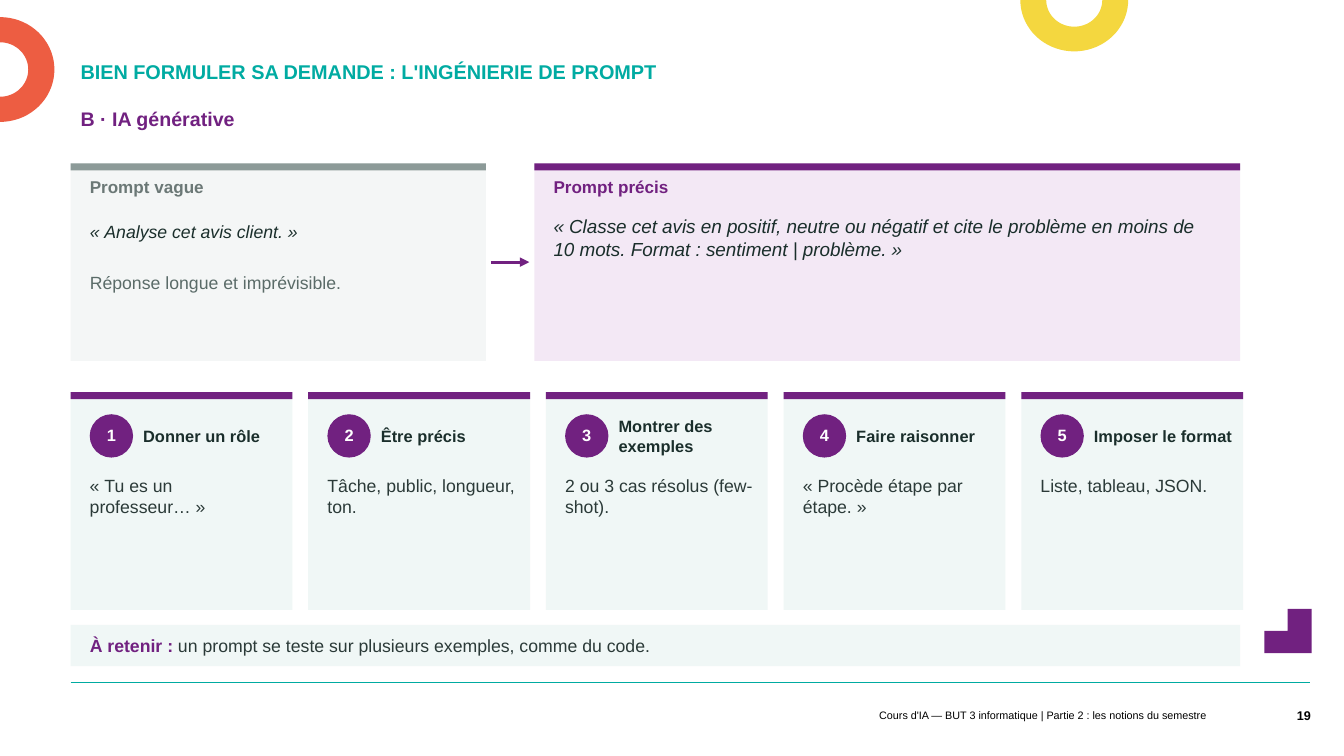
import math

import pptx
import pptx.dml.color
import pptx.enum.shapes
import pptx.enum.text
import pptx.oxml
import pptx.oxml.ns
import pptx.util

Inches = pptx.util.Inches
Pt = pptx.util.Pt
KIND = pptx.enum.shapes.MSO_SHAPE
ALIGN = pptx.enum.text.PP_ALIGN
ANCHOR = pptx.enum.text.MSO_ANCHOR

HUES = {
    "violet": "712180", "teal": "00ABA2", "rule": "00ABA1",
    "red": "ED5D42", "yellow": "F4D73F", "white": "FFFFFF", "black": "000000",
    "mint": "F0F7F6", "lilac": "F3E8F5", "mist": "F4F6F6", "grey": "8C9A98",
    "slate": "6B7876", "ash": "5A6B68", "ink": "1A2E2B", "body": "2B3A38",
}

PAD = 0.19  # inner margin of every panel

STEPS = [
    ("Donner un rôle", "« Tu es un professeur… »"),
    ("Être précis", "Tâche, public, longueur, ton."),
    ("Montrer des exemples", "2 ou 3 cas résolus (few-shot)."),
    ("Faire raisonner", "« Procède étape par étape. »"),
    ("Imposer le format", "Liste, tableau, JSON."),
]


def tint(name):
    return pptx.dml.color.RGBColor.from_string(HUES[name])


def bind(text):
    """Tie French quote marks and colons to their words."""
    hard = chr(160)
    for old, new in (("« ", "«" + hard), (" »", hard + "»"),
                     ("Format :", "Format" + hard + ":"),
                     ("retenir :", "retenir" + hard + ":")):
        text = text.replace(old, new)
    return text


def paint(shape, hue):
    shape.shadow.inherit = False
    shape.fill.solid()
    shape.fill.fore_color.rgb = tint(hue)
    shape.line.fill.background()


def block(slide, box, hue, kind=KIND.RECTANGLE):
    paint(slide.shapes.add_shape(kind, *map(Inches, box)), hue)


def outline(slide, points, hue):
    spots = [(Inches(x), Inches(y)) for x, y in points]
    build = slide.shapes.build_freeform(*spots[0])
    build.add_line_segments(spots[1:], close=True)
    paint(build.convert_to_shape(), hue)


def write(slide, box, runs, anchor=ANCHOR.TOP, inset=(0, 0, 0, 0), **para):
    """Each run is (text, size, hue, extra font values)."""
    frame = slide.shapes.add_textbox(*map(Inches, box)).text_frame
    sides = ("left", "top", "right", "bottom")
    form = {"margin_" + side: Inches(gap) for side, gap in zip(sides, inset)}
    form.update(word_wrap=True, vertical_anchor=anchor)
    for key, value in form.items():
        setattr(frame, key, value)
    line = frame.paragraphs[0]
    for key, value in para.items():
        setattr(line, key, value)
    for text, size, hue, extra in runs:
        run = line.add_run()
        run.text = bind(text)
        for key, value in {"name": "Arial", "size": Pt(size), **extra}.items():
            setattr(run.font, key, value)
        run.font.color.rgb = tint(hue)


def stroke(slide, start, end, hue, width, arrow=False):
    link = slide.shapes.add_connector(
        pptx.enum.shapes.MSO_CONNECTOR.STRAIGHT, *map(Inches, start + end))
    link.line.color.rgb = tint(hue)
    link.line.width = Pt(width)
    if arrow:
        head = pptx.oxml.parse_xml(
            "<a:tailEnd %s type='triangle'/>" % pptx.oxml.ns.nsdecls("a"))
        link.line._get_or_add_ln().append(head)
    link._element.spPr.append(pptx.oxml.parse_xml(
        "<a:effectLst %s/>" % pptx.oxml.ns.nsdecls("a")))


def panel(slide, box, fill, bar):
    left, top, width, _ = box
    block(slide, box, fill)
    block(slide, (left, top, width, 0.07), bar)


def ring(slide, box, first, hue):
    """Half ring around the centre of box, from the angle first."""
    left, top, width, height = box
    turns = [math.radians(first + 5 * i) for i in range(37)]

    def arc(ratio, angles):
        return [(left + width / 2 * (1 + ratio * math.cos(a)),
                 top + height / 2 * (1 + ratio * math.sin(a))) for a in angles]

    outline(slide, arc(1, turns) + arc(0.52, turns[::-1]), hue)


def decor(slide):
    ring(slide, (10.12, -0.51, 1.07, 1.02), 0, "yellow")
    ring(slide, (-0.54, 0.17, 1.08, 1.04), -90, "red")
    left, top, right, low = 12.54, 6.04, 13.01, 6.48
    mid, step = 12.77, 6.26
    outline(slide, [(mid, top), (right, top), (right, low), (left, low),
                    (left, step), (mid, step)], "violet")


def header(slide, box):
    left, top, width, _ = box
    inset = (0.1, 0.05, 0.1, 0.05)
    write(slide, (left, top, width, 0.34),
          [("BIEN FORMULER SA DEMANDE : L'INGÉNIERIE DE PROMPT", 14.2, "teal",
            {"bold": True})],
          ANCHOR.BOTTOM, inset, line_spacing=Pt(16.7))
    write(slide, (left, top + 0.5, width, 0.46),
          [("B · IA générative", 14, "violet", {"bold": True})],
          inset=inset, line_spacing=0.9)


def prompt(slide, box, fill, bar, label, parts):
    left, top, width, _ = box
    panel(slide, box, fill, bar)
    rows = [(0.13, 0.36, label)] + parts
    for drop, tall, run in rows:
        write(slide, (left + PAD, top + drop, width - 0.4, tall), [run])


def versus(slide, box):
    left, top, width, height = box
    prompt(slide, (left, top, 4.12, height), "mist", "grey",
           ("Prompt vague", 12.2, "slate", {"bold": True}),
           [(0.57, 0.52, ("« Analyse cet avis client. »", 12.6, "ink",
                          {"italic": True})),
            (1.08, 0.82, ("Réponse longue et imprévisible.", 12.6, "ash", {}))])
    middle = top + height / 2
    stroke(slide, (left + 4.17, middle), (left + 4.55, middle), "violet", 2.25, True)
    prompt(slide, (left + 4.6, top, width - 4.6, height), "lilac", "violet",
           ("Prompt précis", 12.2, "violet", {"bold": True}),
           [(0.51, 1.34, ("« Classe cet avis en positif, neutre ou négatif et cite "
                          "le problème en moins de 10 mots. Format : sentiment | "
                          "problème. »", 13.5, "ink", {"italic": True}))])


def card(slide, box, rank, title, text):
    left, top, width, _ = box
    panel(slide, box, "mint", "violet")
    side = left + PAD
    block(slide, (side, top + 0.22, 0.43, 0.43), "violet", KIND.OVAL)
    write(slide, (side, top + 0.2, 0.43, 0.46),
          [(str(rank), 11.7, "white", {"bold": True})],
          ANCHOR.MIDDLE, alignment=ALIGN.CENTER)
    write(slide, (left + 0.72, top + 0.15, width - 0.76, 0.57),
          [(title, 11.7, "ink", {"bold": True})], ANCHOR.MIDDLE)
    write(slide, (side, top + 0.82, 1.87, 1.29), [(text, 12.6, "body", {})])


def cards(slide, box):
    left, top, width, height = box
    wide = 2.2
    pitch = (width - wide) / (len(STEPS) - 1)
    for i, (title, text) in enumerate(STEPS):
        card(slide, (left + i * pitch, top, wide, height), i + 1, title, text)


def lesson(slide, box):
    left, top, width, height = box
    block(slide, box, "mint")
    write(slide, (left + PAD, top, width - 0.29, height),
          [("À retenir : ", 12.6, "violet", {"bold": True}),
           ("un prompt se teste sur plusieurs exemples, comme du code.",
            12.6, "body", {"bold": False})], ANCHOR.MIDDLE)


def footer(slide, box):
    left, top, width, _ = box
    stroke(slide, (left, top), (left + width, top), "rule", 0.5)
    write(slide, (left + 4.73, top + 0.21, 6.63, 0.23),
          [("Cours d'IA — BUT 3 informatique | Partie 2 : les notions du semestre",
            7.7, "black", {})],
          ANCHOR.MIDDLE, (0.1, 0.05, 0.1, 0.05), alignment=ALIGN.RIGHT)
    write(slide, (left + 11.75, top + 0.13, 0.55, 0.4),
          [("19", 9, "black", {"bold": True})],
          ANCHOR.MIDDLE, (0.1, 0.05, 0, 0.05), alignment=ALIGN.RIGHT)


def main():
    deck = pptx.Presentation()
    deck.slide_width, deck.slide_height = Inches(13.33), Inches(7.5)
    slide = deck.slides.add_slide(deck.slide_layouts[6])
    decor(slide)
    header(slide, (0.7, 0.54, 9.72, 0.96))
    versus(slide, (0.7, 1.62, 11.6, 1.96))
    cards(slide, (0.7, 3.89, 11.63, 2.16))
    lesson(slide, (0.7, 6.2, 11.6, 0.41))
    footer(slide, (0.7, 6.77, 12.29, 0.53))
    deck.save("out.pptx")


if __name__ == "__main__":
    main()
